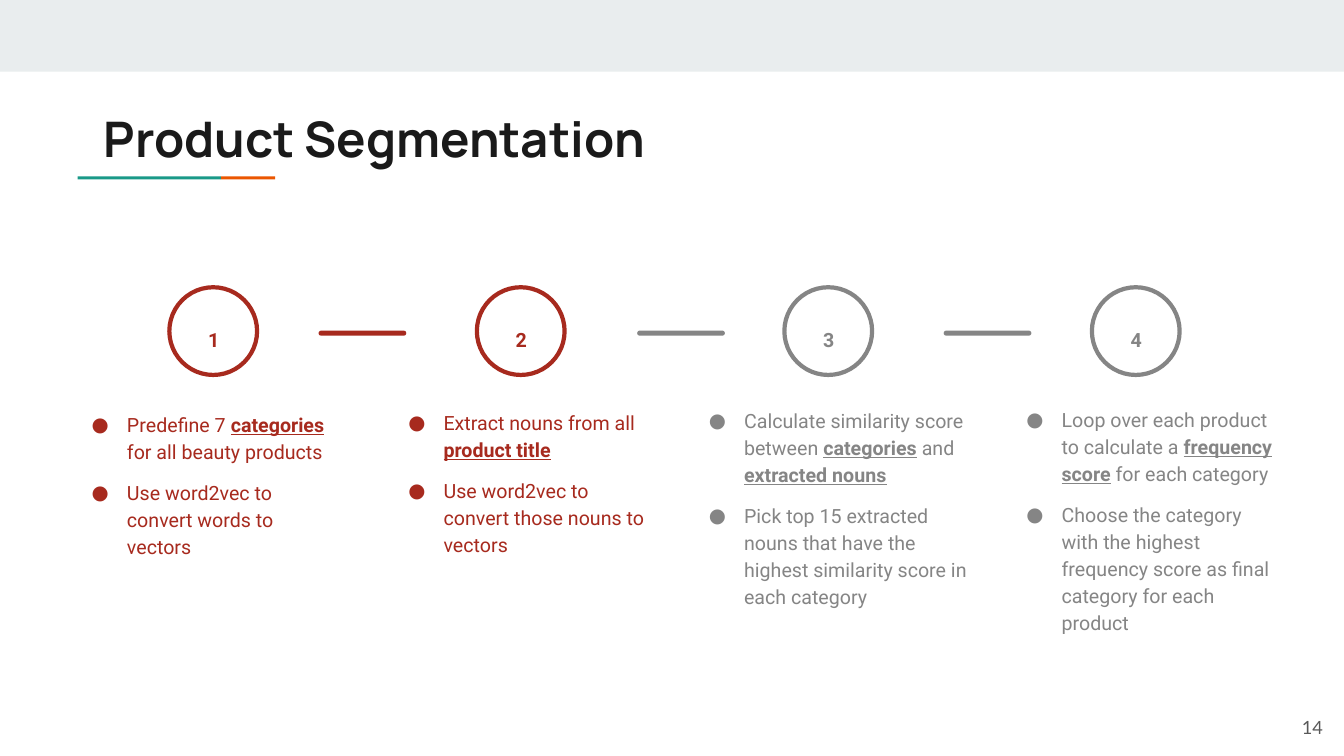
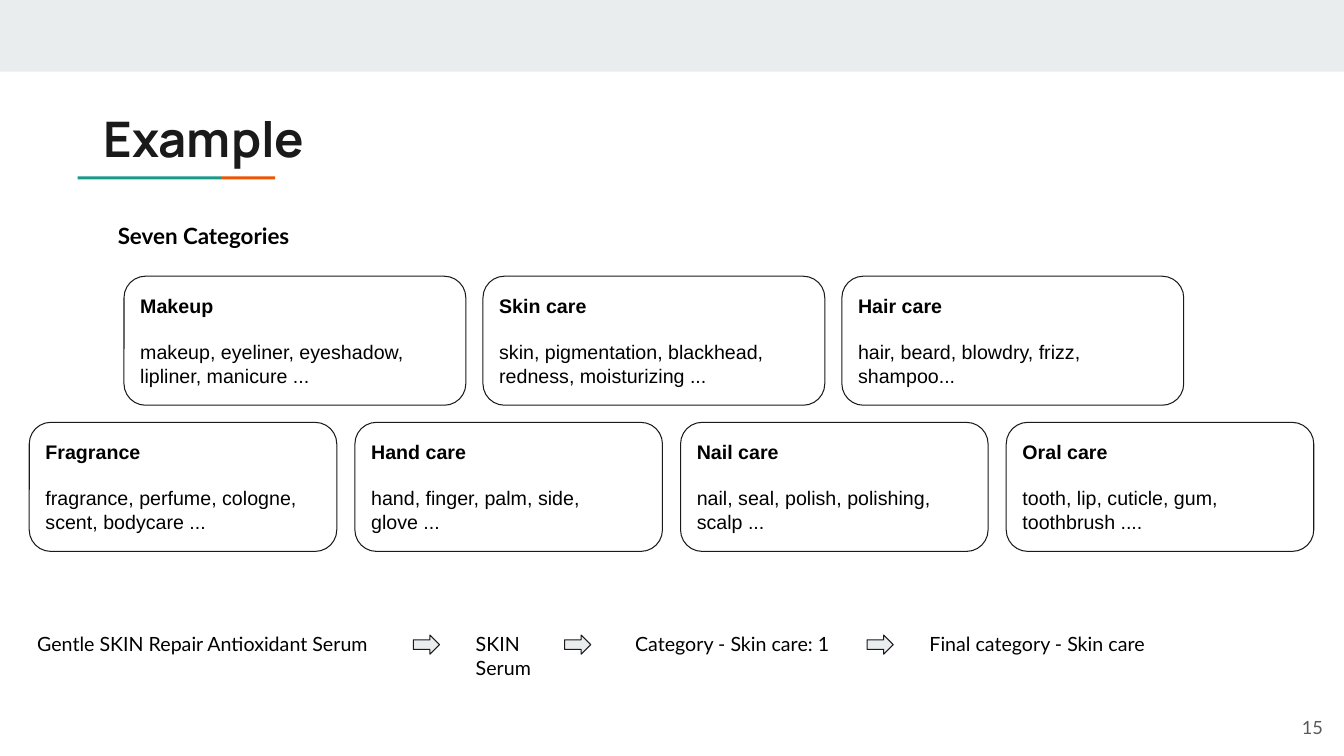
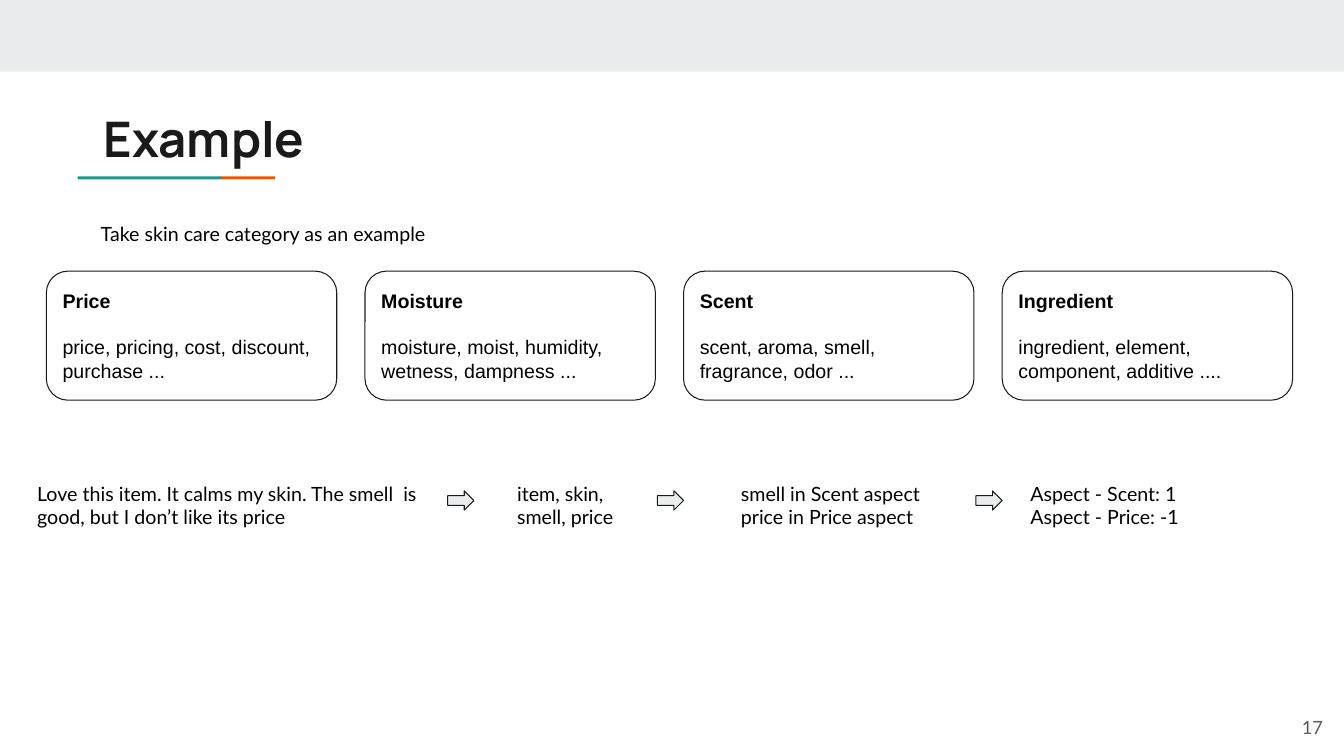
from dataclasses import dataclass

from lxml.etree import SubElement
from pptx import Presentation
from pptx.dml.color import RGBColor
from pptx.enum.shapes import MSO_SHAPE as Preset
from pptx.enum.text import MSO_ANCHOR as Anchor, PP_ALIGN as Align
from pptx.oxml.ns import qn
from pptx.util import Inches, Pt

BAND, INK, BLACK = "E9EDEE", "1A1A1A", "000000"
TEAL, ORANGE, PAGE_GRAY = "1A9988", "EB5600", "595959"
ACTIVE, MUTED = "A72A1E", "858585"
TITLE_FONT, LABEL_FONT, STEP_FONT, CARD_FONT = "Manrope", "Lato", "Roboto", "Arial"


@dataclass
class Step:
    """A numbered step; asterisks in its bullets enclose emphasised words."""
    color: str
    left: float
    top: float
    width: float
    bullets: tuple[str, str]


@dataclass
class Card:
    """A heading with its keywords."""
    heading: str
    keywords: str


@dataclass
class Stage:
    """One text of a flow."""
    left: float
    width: float
    lines: tuple[str, ...]


STEPS = (
    Step(ACTIVE, 0.63, 3.93, 2.9, (
        "Predefine 7 *categories* for all beauty products",
        "Use word2vec to convert words to vectors")),
    Step(ACTIVE, 3.77, 3.91, 2.9, (
        "Extract nouns from all *product title*",
        "Use word2vec to convert those nouns to vectors")),
    Step(MUTED, 6.75, 3.89, 3.01, (
        "Calculate similarity score between *categories* and *extracted nouns*",
        "Pick top 15 extracted nouns that have the highest similarity score in each category")),
    Step(MUTED, 9.9, 3.88, 2.9, (
        "Loop over each product to calculate a *frequency score* for each category",
        "Choose the category with the highest frequency score as final category for each product")),
)
STEP_LINKS = ((3.16, ACTIVE), (6.32, MUTED), (9.36, MUTED))

CATEGORIES_TOP = (
    Card("Makeup", "makeup, eyeliner, eyeshadow, lipliner, manicure ..."),
    Card("Skin care", "skin, pigmentation, blackhead, redness, moisturizing ..."),
    Card("Hair care", "hair, beard, blowdry, frizz, shampoo..."),
)
CATEGORIES_BOTTOM = (
    Card("Fragrance", "fragrance, perfume, cologne, scent, bodycare ..."),
    Card("Hand care", "hand, finger, palm, side, glove ..."),
    Card("Nail care", "nail, seal, polish, polishing, scalp ..."),
    Card("Oral care", "tooth, lip, cuticle, gum, toothbrush ...."),
)
ASPECTS = (
    Card("Price", "price, pricing, cost, discount, purchase ..."),
    Card("Moisture", "moisture, moist, humidity, wetness, dampness ..."),
    Card("Scent", "scent, aroma, smell, fragrance, odor ..."),
    Card("Ingredient", "ingredient, element, component, additive ...."),
)

PRODUCT_FLOW = (
    Stage(0.27, 4.1, ("Gentle SKIN Repair Antioxidant Serum",)),
    Stage(4.62, 1.41, ("SKIN", "Serum")),
    Stage(6.2, 2.52, ("Category - Skin care: 1",)),
    Stage(9.12, 3.56, ("Final category - Skin care",)),
)
REVIEW_FLOW = (
    Stage(0.27, 4.1, ("Love this item. It calms my skin. The smell  is good, but I don’t like its price",)),
    Stage(5.03, 1.41, ("item, skin, smell, price",)),
    Stage(7.25, 2.18, ("smell in Scent aspect", "price in Price aspect")),
    Stage(10.12, 2.52, ("Aspect - Scent: 1", "Aspect - Price: -1")),
)


def rgb(color: str) -> RGBColor:
    """Turn a hex string into a colour."""
    return RGBColor.from_string(color)


def write(paragraph, text: str, *, font: str, size: float, color: str, bold: bool = False,
          align=Align.LEFT, line_spacing: float = 1.0, before: float = 0, after: float = 0) -> None:
    """Fill a paragraph, setting words between asterisks bold and underlined."""
    paragraph.alignment = align
    paragraph.line_spacing = line_spacing
    paragraph.space_before, paragraph.space_after = Pt(before), Pt(after)
    for index, part in enumerate(text.split("*")):
        if part:
            emphasis = index % 2 == 1
            run = paragraph.add_run()
            run.text = part
            run.font.name, run.font.size = font, Pt(size)
            run.font.color.rgb = rgb(color)
            run.font.bold = bold or emphasis
            run.font.underline = emphasis


def add_bullet(paragraph, color: str) -> None:
    """Give a paragraph a hanging round bullet."""
    properties = paragraph._p.get_or_add_pPr()
    properties.set("marL", str(Inches(0.5)))
    properties.set("indent", str(Inches(-0.35)))
    bullet_color = SubElement(properties, qn("a:buClr"))
    SubElement(bullet_color, qn("a:srgbClr"), val=color)
    SubElement(properties, qn("a:buFont"), typeface=STEP_FONT)
    SubElement(properties, qn("a:buChar"), char="●")


def set_frame(frame, inset: float, anchor=Anchor.TOP) -> None:
    """Make a text frame wrap, with equal insets."""
    frame.word_wrap = True
    frame.vertical_anchor = anchor
    frame.margin_left = frame.margin_right = Inches(inset)
    frame.margin_top = frame.margin_bottom = Inches(inset)


def add_text(slide, left: float, top: float, width: float, height: float, *lines: str,
             inset: float = 0.1, anchor=Anchor.TOP, **text_format):
    """Add a text box with one paragraph per line and return its paragraphs."""
    box = slide.shapes.add_textbox(Inches(left), Inches(top), Inches(width), Inches(height))
    frame = box.text_frame
    set_frame(frame, inset, anchor)
    for index, line in enumerate(lines):
        paragraph = frame.add_paragraph() if index else frame.paragraphs[0]
        write(paragraph, line, **text_format)
    return frame.paragraphs


def add_shape(slide, preset, left: float, top: float, width: float, height: float, *,
              fill: str = "", line: str = "", line_width: float = 0.75):
    """Add a preset shape without shadow; an empty colour means none."""
    shape = slide.shapes.add_shape(preset, Inches(left), Inches(top), Inches(width), Inches(height))
    shape.shadow.inherit = False
    if fill:
        shape.fill.solid()
        shape.fill.fore_color.rgb = rgb(fill)
    else:
        shape.fill.background()
    if line:
        shape.line.color.rgb = rgb(line)
        shape.line.width = Pt(line_width)
    else:
        shape.line.fill.background()
    return shape


def add_base(presentation, title: str, number: int):
    """Add a slide with the band, title, two-colour rule and page number."""
    slide = presentation.slides.add_slide(presentation.slide_layouts[6])
    add_shape(slide, Preset.RECTANGLE, 0, 0, 13.33, 0.71, fill=BAND)
    add_shape(slide, Preset.RECTANGLE, 2.19, 1.75, 0.54, 0.03, fill=ORANGE)
    add_shape(slide, Preset.RECTANGLE, 0.77, 1.75, 1.42, 0.03, fill=TEAL)
    add_text(slide, 0.9, 0.95, 11.21, 0.78, title, inset=0.13,
             font=TITLE_FONT, size=35, color=INK, bold=True)
    add_text(slide, 12.45, 6.93, 0.8, 0.57, str(number), inset=0.13, anchor=Anchor.MIDDLE,
             font=LABEL_FONT, size=13, color=PAGE_GRAY, align=Align.RIGHT)
    return slide


def add_step(slide, index: int, step: Step) -> None:
    """Draw a numbered circle with its bullets."""
    circle_left = 1.68 + 3.05 * index
    text_format = dict(font=STEP_FONT, size=14, color=step.color, line_spacing=1.15, inset=0.13)
    add_shape(slide, Preset.OVAL, circle_left, 2.85, 0.87, 0.87, line=step.color, line_width=3)
    add_text(slide, circle_left + 0.12, 3.09, 0.64, 0.47, str(index + 1),
             bold=True, align=Align.CENTER, **text_format)
    paragraphs = add_text(slide, step.left, step.top, step.width, 1.7, *step.bullets, **text_format)
    paragraphs[1].space_before = Pt(10)
    for paragraph in paragraphs:
        add_bullet(paragraph, step.color)


def add_cards(slide, cards: tuple[Card, ...], left: float, top: float, width: float, pitch: float) -> None:
    """Draw a row of evenly spaced rounded cards."""
    text_format = dict(font=CARD_FONT, size=14, color=BLACK)
    for index, card in enumerate(cards):
        shape = add_shape(slide, Preset.ROUNDED_RECTANGLE, left + pitch * index, top, width, 1.28, line=INK)
        frame = shape.text_frame
        set_frame(frame, 0.1, Anchor.MIDDLE)
        write(frame.paragraphs[0], card.heading, bold=True, **text_format)
        write(frame.add_paragraph(), card.keywords, before=16, **text_format)


def add_flow(slide, stages: tuple[Stage, ...], top: float,
             arrow_lefts: tuple[float, ...], arrow_top: float) -> None:
    """Draw the texts of a flow and the arrows between them."""
    for stage in stages:
        add_text(slide, stage.left, top, stage.width, 0.57, *stage.lines,
                 font=LABEL_FONT, size=14, color=BLACK)
    for left in arrow_lefts:
        add_shape(slide, Preset.RIGHT_ARROW, left, arrow_top, 0.26, 0.19, fill=BAND, line=INK)


def build_segmentation(presentation) -> None:
    """Build the slide with the four steps."""
    slide = add_base(presentation, "Product Segmentation", 14)
    for index, step in enumerate(STEPS):
        add_step(slide, index, step)
    for left, color in STEP_LINKS:
        link = add_shape(slide, Preset.ROUNDED_RECTANGLE, left, 3.28, 0.87, 0.05, fill=color)
        link.adjustments[0] = 0.5


def build_categories(presentation) -> None:
    """Build the slide with the seven categories."""
    slide = add_base(presentation, "Example", 15)
    add_text(slide, 1.07, 2.1, 2.18, 0.36, "Seven Categories",
             font=LABEL_FONT, size=16, color=BLACK, bold=True)
    add_cards(slide, CATEGORIES_TOP, left=1.23, top=2.74, width=3.39, pitch=3.56)
    add_cards(slide, CATEGORIES_BOTTOM, left=0.29, top=4.19, width=3.05, pitch=3.23)
    add_flow(slide, PRODUCT_FLOW, 6.17, (4.1, 5.6, 8.6), 6.3)


def build_aspects(presentation) -> None:
    """Build the slide with the aspects of one category."""
    slide = add_base(presentation, "Example", 17)
    add_text(slide, 0.9, 2.1, 3.48, 0.36, "Take skin care category as an example",
             font=LABEL_FONT, size=14, color=BLACK)
    add_cards(slide, ASPECTS, left=0.46, top=2.69, width=2.88, pitch=3.16)
    add_flow(slide, REVIEW_FLOW, 4.68, (4.44, 6.52, 9.68), 4.87)


def main() -> None:
    """Build and save the presentation."""
    presentation = Presentation()
    presentation.slide_width, presentation.slide_height = Inches(13.33), Inches(7.5)
    build_segmentation(presentation)
    build_categories(presentation)
    build_aspects(presentation)
    presentation.save("out.pptx")


if __name__ == "__main__":
    main()
